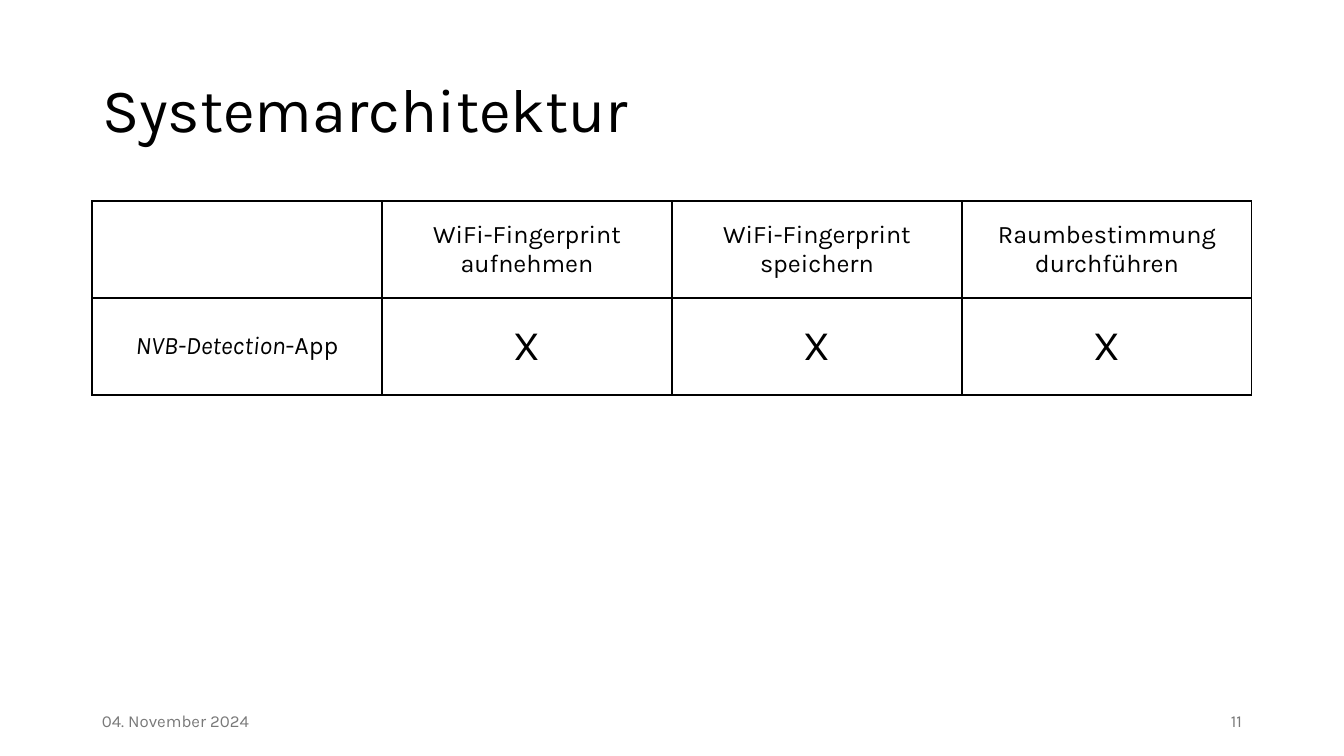
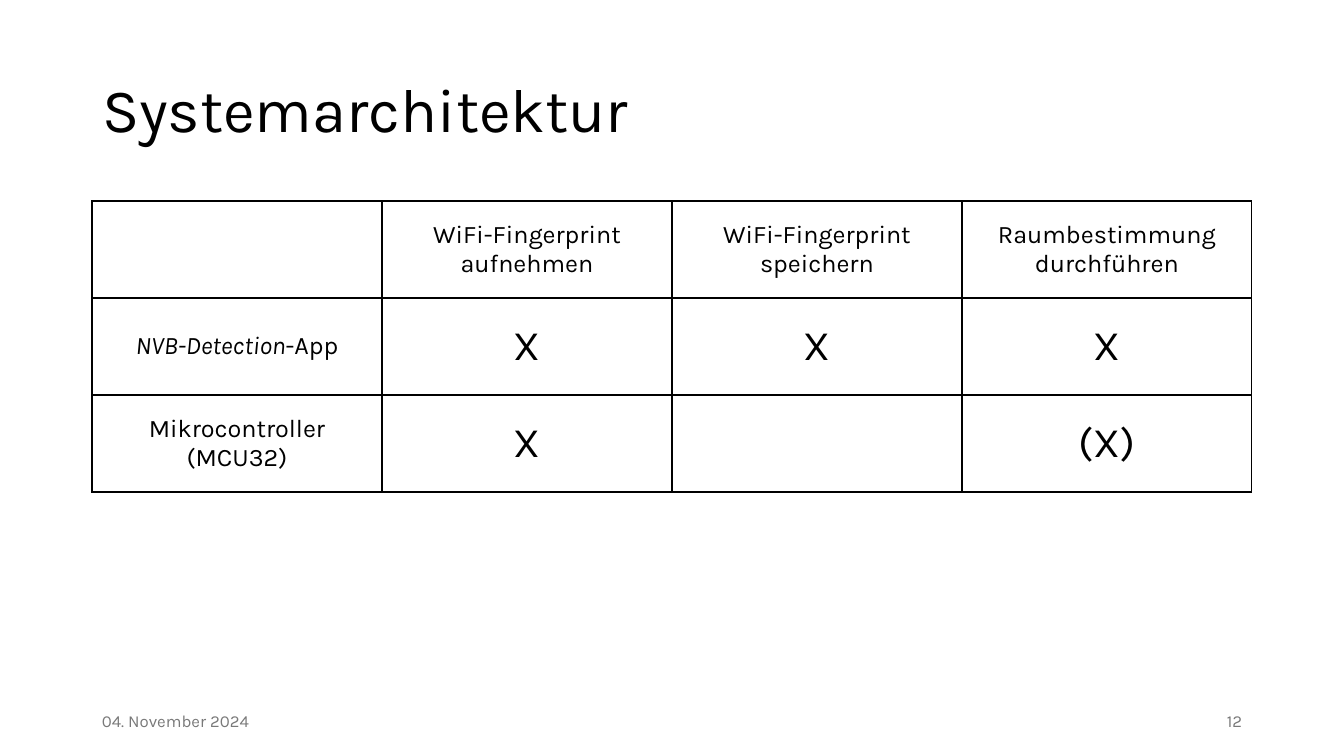
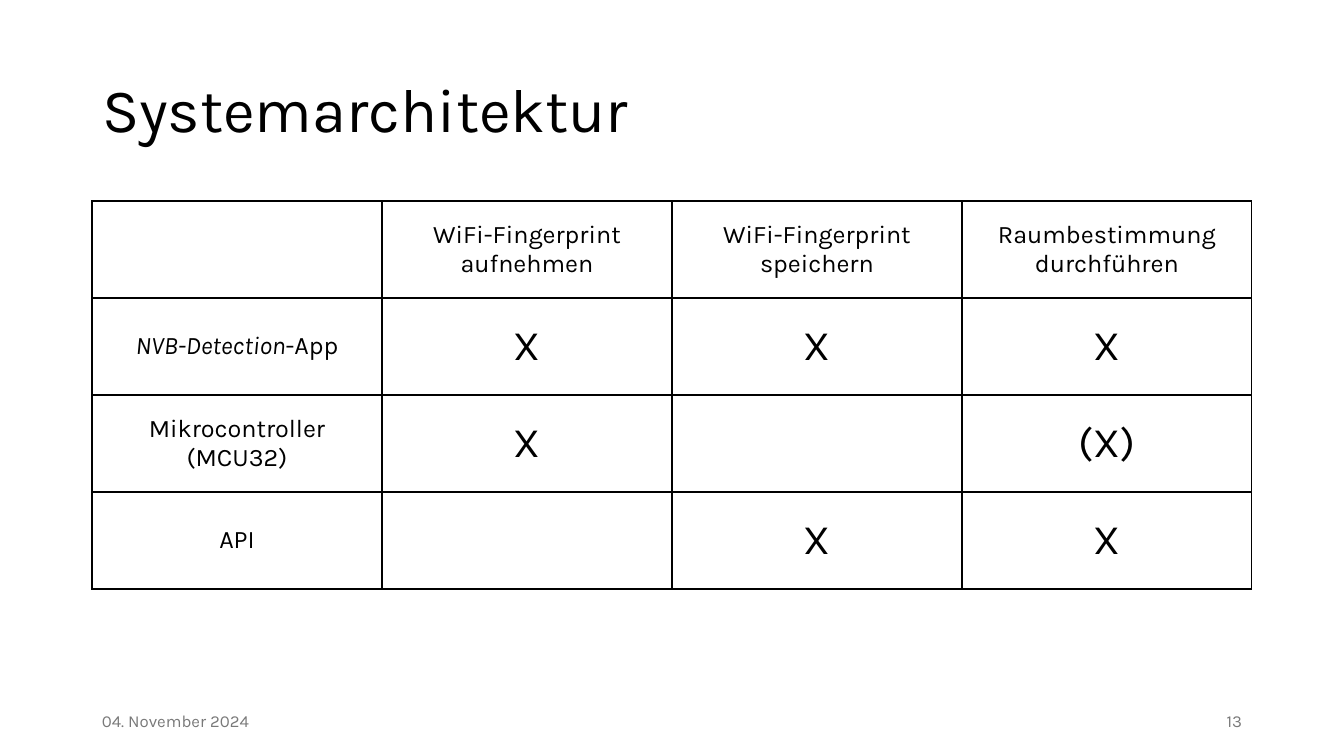
from lxml import etree
from pptx import Presentation
from pptx import util as u
from pptx.dml.color import RGBColor
from pptx.enum import text as t
from pptx.oxml import ns

PX = 914400 / 100.8
FONT, BLACK, GREY, WHITE = "Karla", "000000", "797979", "FFFFFF"
LEFT, WIDTH = 92, 1160
FOOT_W = 302
HEADS = ["", "WiFi-Fingerprint aufnehmen", "WiFi-Fingerprint speichern",
         "Raumbestimmung durchführen"]
SYSTEMS = [
    [[("NVB-Detection", True), ("-App", False)], "X", "X", "X"],
    ["Mikrocontroller (MCU32)", "X", "", "(X)"],
    ["API", "", "X", "X"],
]


def px(n):
    return u.Emu(round(n * PX))


def color(value):
    return RGBColor.from_string(value)


def write(tf, content, size=18, fill=BLACK, align=t.PP_ALIGN.LEFT, spacing=None):
    tf.word_wrap = True
    p = tf.paragraphs[0]
    p.alignment = align
    if spacing:
        p.line_spacing = spacing
    runs = [(content, False)] if isinstance(content, str) else content
    for words, italic in runs:
        r = p.add_run()
        r.text = words
        r.font.name = FONT
        r.font.size = u.Pt(size)
        r.font.italic = italic
        r.font.color.rgb = color(fill)


def add_title(slide, words, x, y, w, h):
    sp = slide.shapes.title
    sp.left, sp.top, sp.width, sp.height = map(px, (x, y, w, h))
    tf = sp.text_frame
    tf.auto_size = t.MSO_AUTO_SIZE.NONE
    tf.vertical_anchor = t.MSO_ANCHOR.MIDDLE
    write(tf, words, size=44, spacing=0.9)


def add_borders(cell):
    tc_pr = cell._tc.get_or_add_tcPr()
    for side in ("lnL", "lnR", "lnT", "lnB"):
        ln = etree.SubElement(tc_pr, ns.qn("a:" + side), w=str(u.Pt(1)))
        solid = etree.SubElement(ln, ns.qn("a:solidFill"))
        etree.SubElement(solid, ns.qn("a:srgbClr"), val=BLACK)


def add_matrix(slide, rows, x, y, w, row_h):
    cols = len(rows[0])
    frame = slide.shapes.add_table(len(rows), cols, px(x), px(y), px(w),
                                   px(row_h * len(rows)))
    table = frame.table
    table.first_row = table.horz_banding = False
    for col in table.columns:
        col.width = px(w / cols)
    for i, row in enumerate(rows):
        table.rows[i].height = px(row_h)
        for j, content in enumerate(row):
            cell = table.cell(i, j)
            add_borders(cell)
            cell.fill.solid()
            cell.fill.fore_color.rgb = color(WHITE)
            cell.vertical_anchor = t.MSO_ANCHOR.MIDDLE
            if content:
                write(cell.text_frame, content, size=30 if i and j else 18,
                      align=t.PP_ALIGN.CENTER)


def add_footer(slide, number, x, y, w, h):
    parts = [(x, "04. November 2024", t.PP_ALIGN.LEFT),
             (x + w - FOOT_W, str(number), t.PP_ALIGN.RIGHT)]
    for left, words, align in parts:
        sp = slide.shapes.add_textbox(px(left), px(y), px(FOOT_W), px(h))
        sp.text_frame.vertical_anchor = t.MSO_ANCHOR.MIDDLE
        write(sp.text_frame, words, size=12, fill=GREY, align=align)


def add_architecture(prs, count, number):
    slide = prs.slides.add_slide(prs.slide_layouts[5])
    add_title(slide, "Systemarchitektur", LEFT, 40, WIDTH, 146)
    add_matrix(slide, [HEADS] + SYSTEMS[:count], LEFT, 201, WIDTH, 97)
    add_footer(slide, number, LEFT, 701, WIDTH, 40)


def main():
    prs = Presentation()
    prs.slide_width, prs.slide_height = px(1344), px(756)
    for count in range(1, len(SYSTEMS) + 1):
        add_architecture(prs, count, 10 + count)
    prs.save("out.pptx")


if __name__ == "__main__":
    main()
